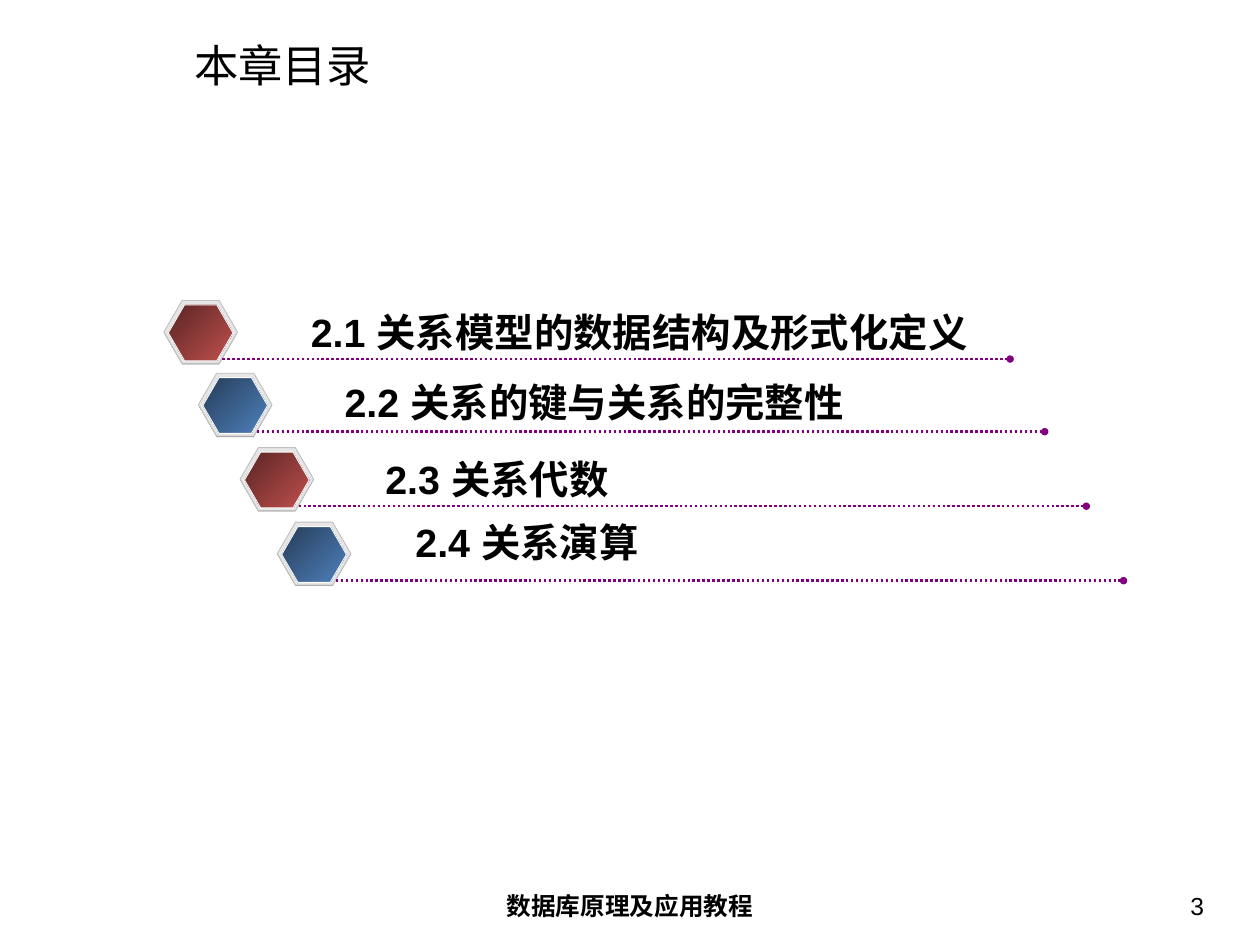
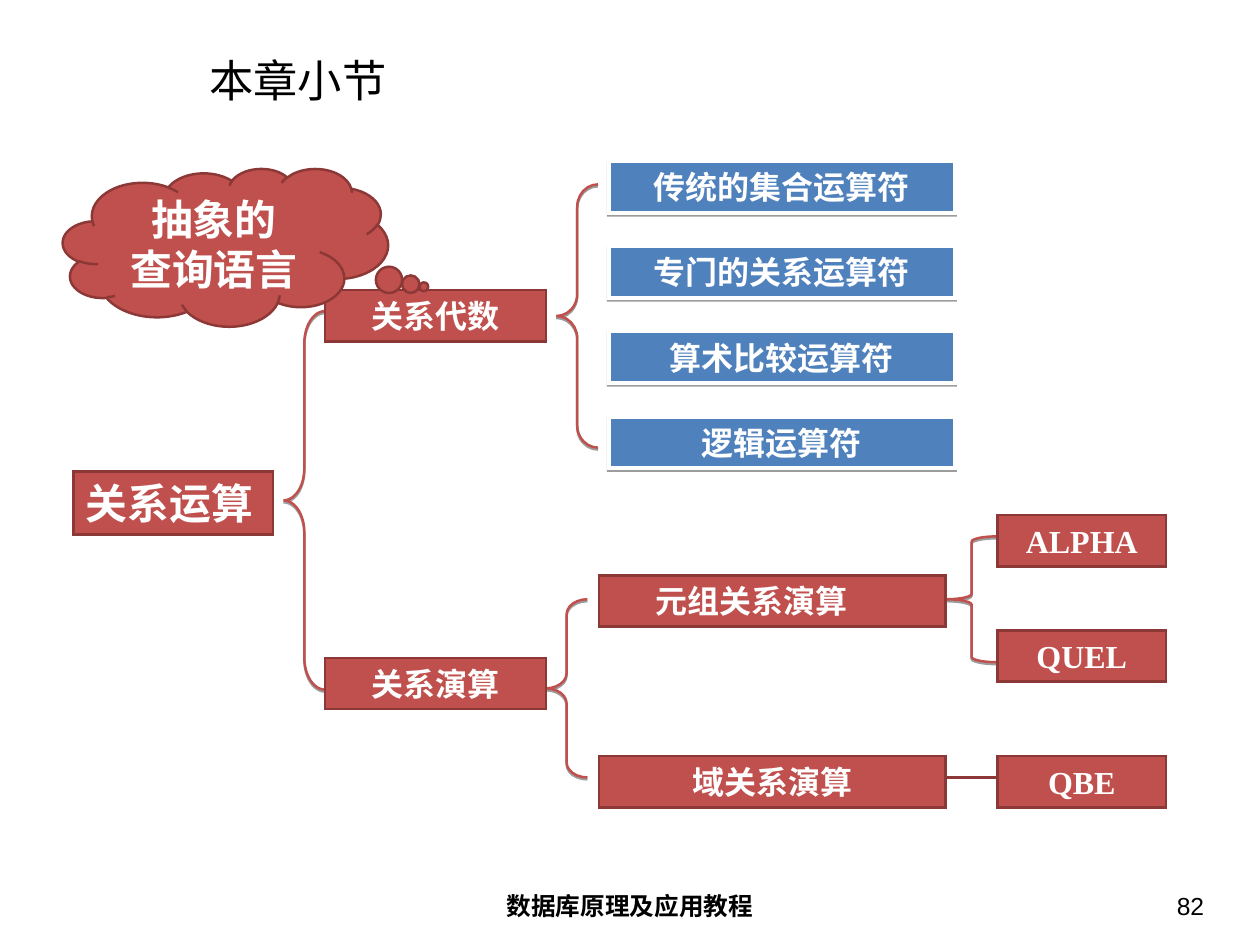
from lxml.etree import SubElement
from pptx import Presentation
from pptx.dml.color import RGBColor
from pptx.enum.dml import MSO_LINE
from pptx.enum.shapes import MSO_CONNECTOR, MSO_SHAPE
from pptx.enum.text import MSO_ANCHOR, PP_ALIGN
from pptx.oxml.ns import qn
from pptx.util import Pt

PX = 9144  # EMU in one px, 100 px to the inch


class Theme:
    ink = RGBColor.from_string("000000")
    white = RGBColor.from_string("FFFFFF")
    red = RGBColor.from_string("C0504D")
    wine = RGBColor.from_string("8C3836")
    maroon = RGBColor.from_string("592524")
    blue = RGBColor.from_string("4F81BD")
    navy = RGBColor.from_string("253C57")
    purple = RGBColor.from_string("800080")
    grey = RGBColor.from_string("808080")
    silver = RGBColor.from_string("C0C0C0")
    pale = RGBColor.from_string("E6E6E6")
    sans, serif = "Arial", "Times New Roman"
    title, item, foot, root, node = 36, 32, 20, 34, 26


def draw(shapes, kind, box, fill, edge=None, weight=2, shade=False):
    """Add a preset shape with plain fill, edge and optional hard shadow."""
    shape = shapes.add_shape(kind, *[n * PX for n in box])
    shape.shadow.inherit = False
    if fill is None:
        shape.fill.background()
    else:
        shape.fill.solid()
        shape.fill.fore_color.rgb = fill
    if edge is None:
        shape.line.fill.background()
    else:
        shape.line.color.rgb = edge
        shape.line.width = Pt(weight)
        SubElement(shape.line._get_or_add_ln(), qn("a:miter"), lim="800000")
    if shade:
        effect = shape._element.spPr.find(qn("a:effectLst"))
        drop = SubElement(effect, qn("a:outerShdw"), blurRad="0",
                          dist=str(Pt(1.6)), dir="5400000", rotWithShape="0")
        tone = SubElement(drop, qn("a:srgbClr"), val=str(Theme.ink))
        SubElement(tone, qn("a:alpha"), val="38000")
    return shape


def write(shape, text, size, font, color, bold=False, align=PP_ALIGN.LEFT,
          anchor=MSO_ANCHOR.MIDDLE, pad=(14, 7), indent=0):
    """Fill a text frame, one paragraph for each line of text."""
    frame = shape.text_frame
    frame.word_wrap = True
    frame.vertical_anchor = anchor
    frame.margin_left = (pad[0] + indent) * PX
    frame.margin_right = pad[0] * PX
    frame.margin_top = frame.margin_bottom = pad[1] * PX
    for row, line in enumerate(text.split("\n")):
        para = frame.add_paragraph() if row else frame.paragraphs[0]
        para.alignment = align
        run = para.add_run()
        run.text = line
        run.font.size, run.font.name = Pt(size), font
        run.font.bold, run.font.color.rgb = bold, color


deck = Presentation()
deck.slide_width, deck.slide_height = 1422 * PX, 1066 * PX

# Titles and footers
slides = []
for title, left, top, page in [("本章目录", 205, 45, "3"),
                               ("本章小节", 222, 62, "82")]:
    slide = deck.slides.add_slide(deck.slide_layouts[6])
    slides.append(slide)
    for text, box, size, bold, align, anchor in [
        (title, (left, top, 1183, 57), Theme.title, False,
         PP_ALIGN.LEFT, MSO_ANCHOR.MIDDLE),
        ("数据库原理及应用教程", (486, 998, 450, 55), Theme.foot, True,
         PP_ALIGN.CENTER, MSO_ANCHOR.TOP),
        (page, (1041, 998, 332, 55), Theme.foot, False,
         PP_ALIGN.RIGHT, MSO_ANCHOR.TOP),
    ]:
        field = slide.shapes.add_textbox(*[n * PX for n in box])
        write(field, text, size, Theme.sans, Theme.ink, bold, align, anchor)
agenda, summary = [slide.shapes for slide in slides]

# Agenda: hexagon, dotted rule and heading in each group
warm, cool = (Theme.maroon, Theme.red), (Theme.navy, Theme.blue)
for text, x, y, start, top, shades in [
    ("2.1 关系模型的数据结构及形式化定义", 185, 339, 341, 343, warm),
    ("2.2 关系的键与关系的完整性", 224, 421, 379, 422, cool),
    ("2.3 关系代数", 271, 505, 425, 509, warm),
    ("2.4 关系演算", 313, 589, 459, 580, cool),
]:
    group = agenda.add_group_shape().shapes
    for box, fill, edge in [
        ((x, y + 1, 83, 71), Theme.grey, None),
        ((x, y, 83, 71), Theme.pale, Theme.silver),
        ((x + 5, y + 5, 73, 63), shades[0], Theme.white),
    ]:
        gem = draw(group, MSO_SHAPE.HEXAGON, box, fill, edge, 0.75)
        gem.adjustments[0] = 0.29
    gem.fill.gradient()
    gem.fill.gradient_angle = 315
    for stop, shade in zip(gem.fill.gradient_stops, shades):
        stop.color.rgb = shade

    rule = group.add_connector(MSO_CONNECTOR.STRAIGHT, (x + 66) * PX,
                               (y + 66) * PX, (x + 955) * PX, (y + 66) * PX)
    rule.line.color.rgb = Theme.purple
    rule.line.width = Pt(2)
    rule.line.dash_style = MSO_LINE.ROUND_DOT
    SubElement(rule.line._get_or_add_ln(), qn("a:tailEnd"), type="oval")
    SubElement(rule._element.spPr, qn("a:effectLst"))

    label = group.add_textbox(start * PX, top * PX, 850 * PX, 64 * PX)
    write(label, text, Theme.item, Theme.sans, Theme.ink, True,
          anchor=MSO_ANCHOR.TOP, pad=(10, 5))

# Summary: braces, each with the height of its arc
for box, arc in [((320, 351, 47, 427), 36), ((628, 208, 47, 297), 25),
                 ((616, 676, 47, 201), 17), ((1067, 605, 59, 142), 6)]:
    brace = draw(summary, MSO_SHAPE.LEFT_BRACE, box, None, Theme.red,
                 shade=True)
    brace.adjustments[0] = arc / box[2]

# Summary: root and red nodes
root = draw(summary, MSO_SHAPE.RECTANGLE, (83, 532, 225, 71),
            Theme.red, Theme.wine)
write(root, "关系运算", Theme.root, Theme.serif, Theme.white, True)
for text, x, y, width in [
    ("关系代数", 367, 327, 249), ("关系演算", 367, 742, 249),
    ("元组关系演算", 676, 649, 391), ("域关系演算", 676, 853, 391),
    ("ALPHA", 1126, 581, 190), ("QUEL", 1126, 711, 190),
    ("QBE", 1126, 853, 190),
]:
    node = draw(summary, MSO_SHAPE.RECTANGLE, (x, y, width, 58),
                Theme.red, Theme.wine)
    inset = text == "元组关系演算"
    write(node, text, Theme.node, Theme.serif, Theme.white, True,
          PP_ALIGN.LEFT if inset else PP_ALIGN.CENTER,
          indent=50 if inset else 0)

# Summary: blue operator list
for row, text in enumerate(["传统的集合运算符", "专门的关系运算符",
                            "算术比较运算符", "逻辑运算符"]):
    leaf = draw(summary, MSO_SHAPE.RECTANGLE, (687, 182 + 96 * row, 391, 58),
                Theme.blue, Theme.white, 3, shade=True)
    write(leaf, text, Theme.node, Theme.serif, Theme.white, True,
          PP_ALIGN.CENTER)

# Summary: link to the last node
link = summary.add_connector(MSO_CONNECTOR.STRAIGHT, 1067 * PX, 877 * PX,
                             1126 * PX, 877 * PX)
link.line.color.rgb = Theme.wine
link.line.width = Pt(2)
SubElement(link._element.spPr, qn("a:effectLst"))

# Summary: thought cloud
cloud = draw(summary, MSO_SHAPE.CLOUD_CALLOUT, (71, 190, 367, 178),
             Theme.red, Theme.wine)
cloud.adjustments[0], cloud.adjustments[1] = 0.61, 0.25
write(cloud, "抽象的\n查询语言", Theme.root, Theme.serif, Theme.white, True,
      PP_ALIGN.CENTER)

deck.save("out.pptx")
